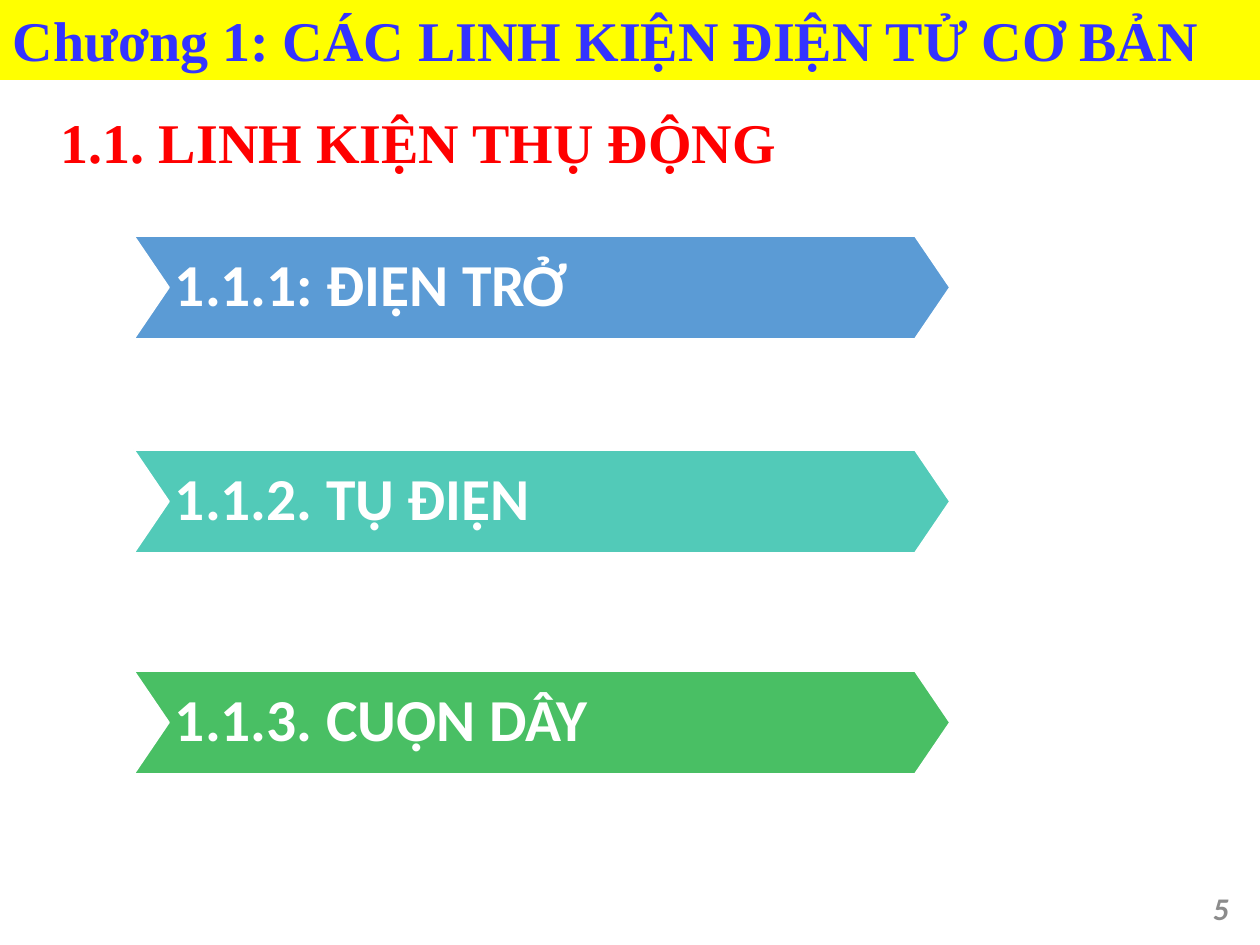
"""Build the slide that lists the passive components of chapter 1."""
import pptx
import pptx.dml.color
import pptx.enum.shapes
import pptx.enum.text
import pptx.util

PX = 914400 / 126
ALIGN = pptx.enum.text.PP_ALIGN
ANCHOR = pptx.enum.text.MSO_ANCHOR
SERIF = "Times New Roman"
TOPICS = [
    ("1.1.1: ĐIỆN TRỞ", 236, "5B9BD5"),
    ("1.1.2. TỤ ĐIỆN", 450, "52CAB8"),
    ("1.1.3. CUỘN DÂY", 671, "49BF64"),
]


def px(n):
    return pptx.util.Emu(round(n * PX))


def rgb(value):
    return pptx.dml.color.RGBColor.from_string(value)


def write(sp, text, size, color, font="Calibri", align=ALIGN.LEFT, anchor=ANCHOR.MIDDLE,
          italic=False, before=0, spacing=1.0, insets=(13, 6, 13, 6)):
    tf = sp.text_frame
    tf.word_wrap = True
    tf.auto_size = pptx.enum.text.MSO_AUTO_SIZE.NONE
    tf.vertical_anchor = anchor
    tf.margin_left, tf.margin_top, tf.margin_right, tf.margin_bottom = map(px, insets)
    p = tf.paragraphs[0]
    p.alignment = align
    p.space_before = pptx.util.Pt(before)
    p.line_spacing = spacing
    r = p.add_run()
    r.text = text
    r.font.size = pptx.util.Pt(size)
    r.font.name = font
    r.font.bold = True
    r.font.italic = italic
    r.font.color.rgb = rgb(color)


def add_banner(s, text):
    sp = s.shapes.title
    sp.left, sp.top, sp.width, sp.height = map(px, (0, -1, 1260, 81))
    sp.fill.solid()
    sp.fill.fore_color.rgb = rgb("FFFF00")
    write(sp, text, 32, "3333FF", font=SERIF, align=ALIGN.JUSTIFY, anchor=ANCHOR.TOP, before=6)


def add_text(s, text, box, size, color, **fmt):
    write(s.shapes.add_textbox(*map(px, box)), text, size, color, **fmt)


def add_topic(s, text, top, color):
    sp = s.shapes.add_shape(pptx.enum.shapes.MSO_SHAPE.CHEVRON, *map(px, (134, top, 816, 103)))
    sp.adjustments[0] = 0.34
    sp.shadow.inherit = False
    sp.fill.solid()
    sp.fill.fore_color.rgb = rgb(color)
    sp.line.color.rgb = rgb("FFFFFF")
    sp.line.width = pptx.util.Pt(1)
    write(sp, text, 34, "FFFFFF", spacing=0.9, insets=(6, 3, 0, 3))


def main():
    prs = pptx.Presentation()
    prs.slide_width, prs.slide_height = px(1260), px(945)
    s = prs.slides.add_slide(prs.slide_layouts[5])
    add_banner(s, "Chương 1: CÁC LINH KIỆN ĐIỆN TỬ CƠ BẢN")
    add_text(s, "1.1. LINH KIỆN THỤ ĐỘNG", (48, 101, 883, 81), 32, "FF0000",
             font=SERIF, align=ALIGN.JUSTIFY, anchor=ANCHOR.TOP, before=6)
    for text, top, color in TOPICS:
        add_topic(s, text, top, color)
    add_text(s, "5", (1155, 883, 87, 50), 18, "8C8C8C", align=ALIGN.RIGHT, italic=True)
    prs.save("out.pptx")


if __name__ == "__main__":
    main()
